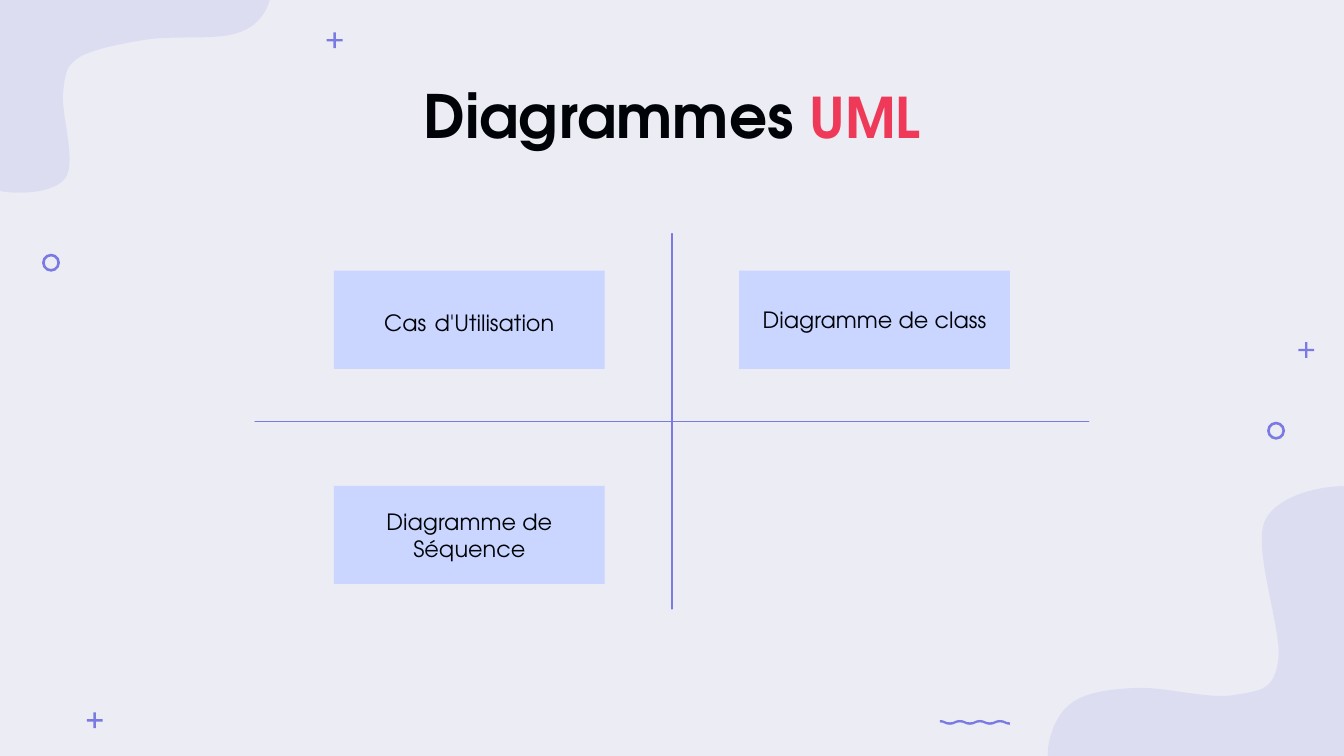
from dataclasses import dataclass
from typing import NamedTuple

from lxml.etree import SubElement
from pptx import Presentation
from pptx.dml.color import RGBColor
from pptx.enum.shapes import MSO_SHAPE as Shape
from pptx.enum.text import MSO_ANCHOR as Anchor, PP_ALIGN as Align
from pptx.oxml.ns import qn
from pptx.util import Inches, Pt


@dataclass(frozen=True)
class Theme:
    background: str = "ECECF5"
    accent: str = "7A7AE2"
    card: str = "CAD6FF"
    ink: str = "000307"
    black: str = "000000"
    highlight: str = "EE3A58"
    font: str = "TeX Gyre Adventor"
    gap_font: str = "Arial"
    title_size: float = 32
    title_end_size: float = 30
    card_size: float = 12
    gap_size: float = 16
    blob_alpha: int = 13


class Span(NamedTuple):
    text: str
    size: float
    color: str
    font: str
    bold: bool = False


class Box(NamedTuple):
    """Left, top, width and height in grid columns and rows."""
    x: float
    y: float
    w: float
    h: float


class Card(NamedTuple):
    col: int
    row: int
    spans: list[Span]


class Outline(NamedTuple):
    """Start point, then one (control, control, end) curve per row."""
    start: tuple[float, float]
    curves: list[tuple[float, ...]]


THEME = Theme()
WIDTH, HEIGHT = Inches(10), Inches(5.625)
UNIT = WIDTH / 100  # square grid cell: 100 columns, 56.25 rows

TITLE = [
    Span("Diagrammes", THEME.title_size, THEME.ink, THEME.font, True),
    Span(" ", THEME.title_end_size, THEME.ink, THEME.font, True),
    Span("UML", THEME.title_end_size, THEME.highlight, THEME.font, True),
]


def label(text: str) -> Span:
    return Span(text, THEME.card_size, THEME.ink, THEME.font)


CARDS = [
    Card(1, 0, [label("Diagramme de class")]),
    Card(0, 1, [label("Diagramme de Séquence")]),
    Card(0, 0, [label("Cas"),
                Span(" ", THEME.gap_size, THEME.black, THEME.gap_font),
                label("d'Utilisation")]),
]

RINGS = [(3.8, 19.55), (94.95, 32.05)]
PLUSES = [(24.9, 3), (97.2, 26.05), (7.05, 53.6)]

BLOBS = [
    Outline((-3.1, 11.5), [
        (-2.4, 13.5, -1.4, 14, -0.1, 14.2), (1.3, 14.5, 4.1, 14.4, 4.9, 13.2),
        (5.7, 12, 4.5, 8.3, 4.7, 6.8), (4.9, 5.3, 4.9, 4.9, 6, 4.2),
        (7.1, 3.6, 9.3, 3.2, 11.2, 2.9), (13, 2.7, 15.7, 2.9, 17.1, 2.6),
        (18.5, 2.3, 19, 1.8, 19.5, 1.2), (20, 0.5, 20.3, -0.4, 20.1, -1.3),
        (19.9, -2.1, 19.8, -3.6, 18.4, -4), (17, -4.4, 14.2, -3.6, 11.8, -3.6),
        (9.5, -3.6, 6.9, -4.2, 4.4, -4.1), (1.8, -3.9, -1.8, -3.6, -3.3, -2.5),
        (-4.8, -1.4, -4.5, 0.1, -4.4, 2.5), (-4.4, 4.8, -3.8, 9.6, -3.1, 11.5),
    ]),
    Outline((78, 56.5), [
        (77.8, 55.5, 78.4, 53.4, 79.5, 52.5), (80.5, 51.6, 82.2, 51.3, 84.3, 51.2),
        (86.3, 51, 90.1, 52.1, 91.9, 51.7), (93.7, 51.4, 94.8, 51.4, 95.1, 49.2),
        (95.5, 47.1, 93.2, 41, 94.1, 38.8), (95.1, 36.6, 99.1, 36, 100.8, 36.2),
        (102.5, 36.4, 103.8, 38.2, 104.5, 39.9), (105.2, 41.5, 104.9, 43.6, 105, 46),
        (105, 48.4, 105.4, 52.2, 104.9, 54), (104.4, 55.9, 103.8, 56.6, 102.1, 57.3),
        (100.3, 57.9, 97.9, 57.9, 94.3, 58.1), (90.8, 58.2, 83.3, 58.5, 80.6, 58.3),
        (77.8, 58, 78.2, 57.4, 78, 56.5),
    ]),
]


def place(box: Box) -> list[int]:
    return [round(v * UNIT) for v in box]


def paint(sp, color: str | None) -> None:
    sp.shadow.inherit = False
    sp.line.fill.background()
    if color is None:
        sp.fill.background()
    else:
        sp.fill.solid()
        sp.fill.fore_color.rgb = RGBColor.from_string(color)


def add_preset(s, kind: Shape, box: Box, color: str | None, *adjust: float):
    sp = s.shapes.add_shape(kind, *place(box))
    paint(sp, color)
    for i, value in enumerate(adjust):
        sp.adjustments[i] = value
    return sp


def add_curved(s, outline: Outline):
    """Draw the control polygon, then turn each three segments into one curve."""
    points = [(c[i] * UNIT, c[i + 1] * UNIT) for c in outline.curves for i in (0, 2, 4)]
    x, y = outline.start
    builder = s.shapes.build_freeform(round(x * UNIT), round(y * UNIT))
    builder.add_line_segments(points, close=True)
    sp = builder.convert_to_shape()
    paint(sp, THEME.accent)
    lines = list(sp.element.iter(qn("a:lnTo")))
    for i in range(0, len(lines), 3):
        first, *rest = lines[i:i + 3]
        first.tag = qn("a:cubicBezTo")
        for line in rest:
            first.append(line[0])
            line.getparent().remove(line)
    return sp


def write(sp, spans: list[Span], anchor: Anchor) -> None:
    tf = sp.text_frame
    tf.word_wrap = True
    tf.vertical_anchor = anchor
    tf.margin_left = tf.margin_right = tf.margin_top = tf.margin_bottom = Inches(0.1)
    p = tf.paragraphs[0]
    p.alignment = Align.CENTER
    for span in spans:
        r = p.add_run()
        r.text = span.text
        r.font.name, r.font.size, r.font.bold = span.font, Pt(span.size), span.bold
        r.font.color.rgb = RGBColor.from_string(span.color)


def add_blob(s, blob: Outline) -> None:
    sp = add_curved(s, blob)
    color = sp.element.find(f".//{qn('a:srgbClr')}")
    SubElement(color, qn("a:alpha"), val=str(THEME.blob_alpha * 1000))


def add_wave(s, box: Box, halves: int, thick: float) -> None:
    """A ribbon: along the top edge, down, back along the bottom edge, up."""
    step, swing = box.w / halves, box.h - thick
    top = [(box.x + i * step, box.y + i % 2 * swing) for i in range(halves + 1)]
    edge = top + [(x, y + thick) for x, y in reversed(top)] + top[:1]
    curves = [((x0 + x1) / 2, y0, (x0 + x1) / 2, y1, x1, y1)
              for (x0, y0), (x1, y1) in zip(edge, edge[1:])]
    add_curved(s, Outline(edge[0], curves))


def add_plus(s, x: float, y: float, size: float = 1.18, thick: float = 0.18) -> None:
    for w, h in ((thick, size), (size, thick)):
        add_preset(s, Shape.RECTANGLE, Box(x - w / 2, y - h / 2, w, h), THEME.accent)


def add_axes(s, box: Box) -> None:
    sp = add_preset(s, Shape.MATH_PLUS, box, None, 0)
    sp.line.color.rgb = RGBColor.from_string(THEME.accent)
    sp.line.width = Pt(0.75)


def add_card(s, card: Card) -> None:
    box = Box(24.85 + 30.15 * card.col, 20.15 + 16 * card.row, 20.15, 7.3)
    write(add_preset(s, Shape.RECTANGLE, box, THEME.card), card.spans, Anchor.MIDDLE)


def main() -> None:
    prs = Presentation()
    prs.slide_width, prs.slide_height = WIDTH, HEIGHT
    s = prs.slides.add_slide(prs.slide_layouts[6])
    s.background.fill.solid()
    s.background.fill.fore_color.rgb = RGBColor.from_string(THEME.background)

    # Small ornaments, given by their centres
    for x, y in RINGS:
        add_preset(s, Shape.DONUT, Box(x - 0.67, y - 0.67, 1.34, 1.34), THEME.accent, 0.15)
    for x, y in PLUSES:
        add_plus(s, x, y)
    add_wave(s, Box(69.93, 53.57, 5.22, 0.36), halves=7, thick=0.18)

    # Corner blobs
    for blob in BLOBS:
        add_blob(s, blob)

    # Title
    write(s.shapes.add_textbox(*place(Box(7.85, 4.9, 84.3, 6.3))), TITLE, Anchor.TOP)

    # Quadrant axes and cards
    add_axes(s, Box(7.8, 12.35, 84.4, 38))
    for card in CARDS:
        add_card(s, card)

    prs.save("out.pptx")


if __name__ == "__main__":
    main()
